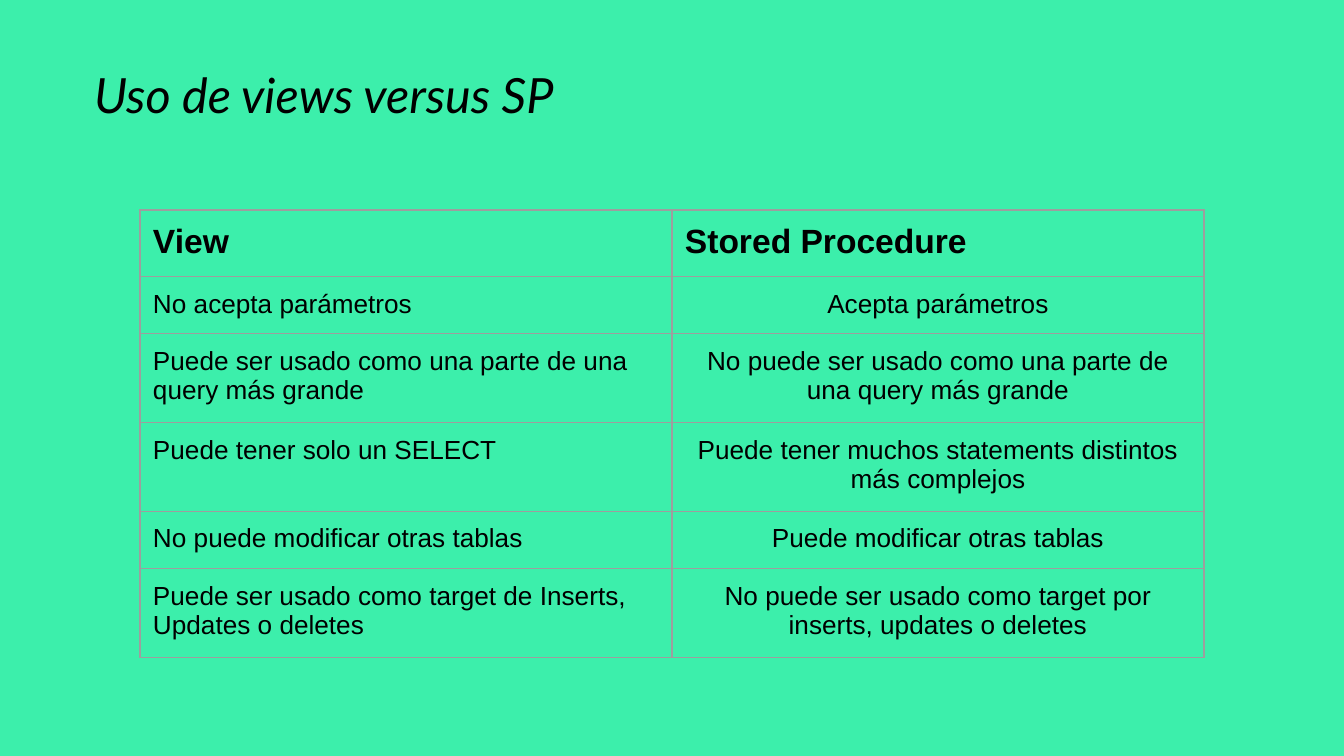
from lxml.etree import SubElement
from pptx import Presentation
from pptx.dml.color import RGBColor
from pptx.enum.text import MSO_ANCHOR, PP_ALIGN
from pptx.oxml.ns import qn
from pptx.util import Pt

# Content
TITLE = "Uso de views versus SP"
HEADINGS = ("View", "Stored Procedure")
COMPARISONS = [
    ("No acepta parámetros", "Acepta parámetros"),
    ("Puede ser usado como una parte de una query más grande",
     "No puede ser usado como una parte de una query más grande"),
    ("Puede tener solo un SELECT",
     "Puede tener muchos statements distintos más complejos"),
    ("No puede modificar otras tablas", "Puede modificar otras tablas"),
    ("Puede ser usado como target de Inserts, Updates o deletes",
     "No puede ser usado como target por inserts, updates o deletes"),
]

# Look, lengths in px
EMU_PER_PX = 914400 / 134.4
SLIDE_W, SLIDE_H = 1344, 756
TITLE_BOX = (81, 52, 1183, 105)
TABLE_LEFT, TABLE_TOP = 140, 210
COLUMN_W, ROW_H = 532, 56
INSET = 13
BACKGROUND, INK, BORDER = "3CEFAB", "000000", "9E9E9E"
BORDER_PT = 0.75


def px(length):
    return round(length * EMU_PER_PX)


def color(code):
    return RGBColor.from_string(code)


def set_margins(holder):
    holder.margin_left = holder.margin_right = px(INSET)
    holder.margin_top = holder.margin_bottom = px(INSET)


def write(frame, words, font, size, align=PP_ALIGN.LEFT, bold=False, italic=False):
    frame.word_wrap = True
    paragraph = frame.paragraphs[0]
    paragraph.alignment = align
    run = paragraph.add_run()
    run.text = words
    run.font.name = font
    run.font.size = Pt(size)
    run.font.bold = bold
    run.font.italic = italic
    run.font.color.rgb = color(INK)


def draw_borders(cell):
    properties = cell._tc.get_or_add_tcPr()
    for index, side in enumerate(("a:lnL", "a:lnR", "a:lnT", "a:lnB")):
        line = properties.makeelement(qn(side), {"w": str(Pt(BORDER_PT))})
        fill = SubElement(line, qn("a:solidFill"))
        SubElement(fill, qn("a:srgbClr"), val=BORDER)
        properties.insert(index, line)


prs = Presentation()
prs.slide_width, prs.slide_height = px(SLIDE_W), px(SLIDE_H)
slide = prs.slides.add_slide(prs.slide_layouts[6])
slide.background.fill.solid()
slide.background.fill.fore_color.rgb = color(BACKGROUND)

# Title
title = slide.shapes.add_textbox(*map(px, TITLE_BOX)).text_frame
set_margins(title)
title.vertical_anchor = MSO_ANCHOR.TOP
write(title, TITLE, "Lato", 26, italic=True)

# Comparison table: rows grow to fit their text
rows = [HEADINGS, *COMPARISONS]
table = slide.shapes.add_table(
    len(rows), len(HEADINGS), px(TABLE_LEFT), px(TABLE_TOP),
    px(COLUMN_W * len(HEADINGS)), px(ROW_H * len(rows))).table
table.first_row = table.horz_banding = False
for column in table.columns:
    column.width = px(COLUMN_W)
for r, row in enumerate(rows):
    table.rows[r].height = px(ROW_H)
    for c, words in enumerate(row):
        heading = r == 0
        centred = c == 1 and not heading
        cell = table.cell(r, c)
        set_margins(cell)
        cell.vertical_anchor = MSO_ANCHOR.TOP
        cell.fill.background()
        draw_borders(cell)
        write(cell.text_frame, words, "Arial", 18 if heading else 14,
              PP_ALIGN.CENTER if centred else PP_ALIGN.LEFT, bold=heading)

prs.save("out.pptx")
